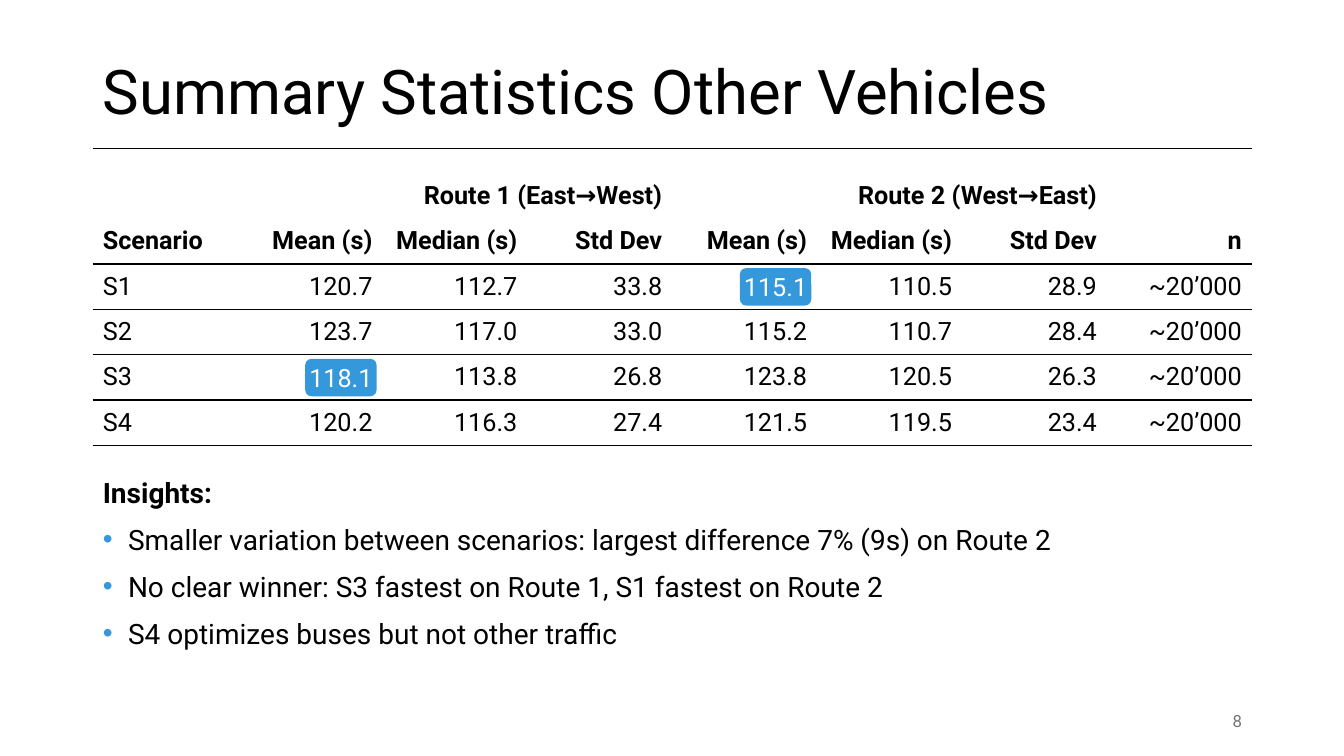
import pptx
import pptx.util
import pptx.dml.color
import pptx.enum.shapes
import pptx.enum.text
import pptx.oxml
import pptx.oxml.ns
import lxml.etree
from dataclasses import dataclass

Pt = pptx.util.Pt
ALIGN = pptx.enum.text.PP_ALIGN
MIDDLE = pptx.enum.text.MSO_ANCHOR.MIDDLE


@dataclass(frozen=True)
class Theme:
    font: str = "Roboto"
    black: str = "000000"
    white: str = "FFFFFF"
    blue: str = "3498DB"
    gray: str = "757575"
    title_size: float = 44
    insight_size: float = 20
    table_size: float = 18
    number_size: float = 12
    line_width: float = 1


theme = Theme()
color = pptx.dml.color.RGBColor.from_string


def style_paragraph(paragraph, size, text_color, align=ALIGN.LEFT, bold=False):
    paragraph.alignment = align
    for font in [paragraph.font] + [run.font for run in paragraph.runs]:
        font.name = theme.font
        font.size = Pt(size)
        font.bold = bold
        font.color.rgb = color(text_color)


def add_xml(parent, tag, **attributes):
    return lxml.etree.SubElement(parent, pptx.oxml.ns.qn(tag), attributes)


presentation = pptx.Presentation()
presentation.slide_width = Pt(960)
presentation.slide_height = Pt(540)
slide = presentation.slides.add_slide(presentation.slide_layouts[1])
shapes = slide.shapes

left, width = 66.25, 828

title = shapes.title
title.left, title.top, title.width, title.height = Pt(left), Pt(28.75), Pt(width), Pt(77.75)
title.text_frame.text = "Summary Statistics Other Vehicles"
title.text_frame.auto_size = pptx.enum.text.MSO_AUTO_SIZE.NONE
title.text_frame.vertical_anchor = MIDDLE
title.text_frame.paragraphs[0].line_spacing = 0.9
style_paragraph(title.text_frame.paragraphs[0], theme.title_size, theme.black)

title_rule = shapes.add_connector(
    pptx.enum.shapes.MSO_CONNECTOR.STRAIGHT, Pt(left), Pt(106), Pt(left + width), Pt(106))
title_rule.line.color.rgb = color(theme.black)
title_rule.line.width = Pt(theme.line_width)
add_xml(title_rule._element.spPr, "a:effectLst")

measures = ["Mean (s)", "Median (s)", "Std Dev"]
rows = [
    ["", "Route 1 (East→West)", "", "", "Route 2 (West→East)", "", "", ""],
    ["Scenario"] + measures + measures + ["n"],
    ["S1", "120.7", "112.7", "33.8", "115.1", "110.5", "28.9", "~20’000"],
    ["S2", "123.7", "117.0", "33.0", "115.2", "110.7", "28.4", "~20’000"],
    ["S3", "118.1", "113.8", "26.8", "123.8", "120.5", "26.3", "~20’000"],
    ["S4", "120.2", "116.3", "27.4", "121.5", "119.5", "23.4", "~20’000"],
]
header_rows = 2
table_top, row_height = 123.75, 32.4
column_width = width / len(rows[0])

table = shapes.add_table(
    len(rows), len(rows[0]), Pt(left), Pt(table_top), Pt(width), Pt(row_height * len(rows))).table
table.first_row = False
table.horz_banding = False
for column in table.columns:
    column.width = Pt(column_width)
for first_column in (1, 4):
    table.cell(0, first_column).merge(table.cell(0, first_column + 2))

for row_index, row in enumerate(rows):
    table.rows[row_index].height = Pt(row_height)
    for column_index, text in enumerate(row):
        cell = table.cell(row_index, column_index)
        cell.text_frame.text = text
        cell.vertical_anchor = MIDDLE
        style_paragraph(cell.text_frame.paragraphs[0], theme.table_size, theme.black,
                        ALIGN.RIGHT if column_index else ALIGN.LEFT, row_index < header_rows)
        borders = {"a:lnL": False, "a:lnR": False,
                   "a:lnT": row_index >= header_rows, "a:lnB": row_index >= header_rows - 1}
        properties = cell._tc.get_or_add_tcPr()
        for tag, visible in borders.items():
            border = add_xml(properties, tag, w=str(Pt(theme.line_width)))
            if visible:
                add_xml(add_xml(border, "a:solidFill"), "a:srgbClr", val=theme.black)
            else:
                add_xml(border, "a:noFill")
        cell.fill.solid()
        cell.fill.fore_color.rgb = color(theme.white)

insights = slide.placeholders[1]
insights.left, insights.top, insights.width, insights.height = Pt(left), Pt(326.25), Pt(width), Pt(160.5)
insights.text_frame.text = "\n".join([
    "Insights:",
    "Smaller variation between scenarios: largest difference 7% (9s) on Route 2",
    "No clear winner: S3 fastest on Route 1, S1 fastest on Route 2",
    "S4 optimizes buses but not other traffic",
])
insights.text_frame.auto_size = pptx.enum.text.MSO_AUTO_SIZE.NONE
for index, paragraph in enumerate(insights.text_frame.paragraphs):
    properties = paragraph._p.get_or_add_pPr()
    indent = Pt(18) if index else 0
    properties.set("marL", str(indent))
    properties.set("indent", str(-indent))
    if index:
        add_xml(add_xml(properties, "a:buClr"), "a:srgbClr", val=theme.blue)
        add_xml(properties, "a:buFont", typeface="Arial")
        add_xml(properties, "a:buChar", char="•")
    else:
        add_xml(properties, "a:buNone")
    paragraph.line_spacing = 1.4
    paragraph.space_before = Pt(0)
    style_paragraph(paragraph, theme.insight_size, theme.black, bold=index == 0)

for row_index, column_index in ((2, 4), (4, 1)):
    highlight = shapes.add_shape(
        pptx.enum.shapes.MSO_SHAPE.ROUNDED_RECTANGLE,
        Pt(left + column_index * column_width + 48.25),
        Pt(table_top + row_index * row_height + 3), Pt(51), Pt(26.75))
    highlight.shadow.inherit = False
    highlight.fill.solid()
    highlight.fill.fore_color.rgb = color(theme.blue)
    highlight.line.fill.background()
    frame = highlight.text_frame
    frame.margin_left = frame.margin_right = frame.margin_top = frame.margin_bottom = 0
    frame.vertical_anchor = MIDDLE
    frame.text = rows[row_index][column_index]
    style_paragraph(frame.paragraphs[0], theme.table_size, theme.white, ALIGN.CENTER)

page_number = shapes.add_textbox(Pt(678.25), Pt(500.5), Pt(216), Pt(28.75))
page_number.text_frame.word_wrap = True
page_number.text_frame.vertical_anchor = MIDDLE
page_number.text_frame.text = "8"
style_paragraph(page_number.text_frame.paragraphs[0], theme.number_size, theme.gray, ALIGN.RIGHT)

presentation.save("out.pptx")
